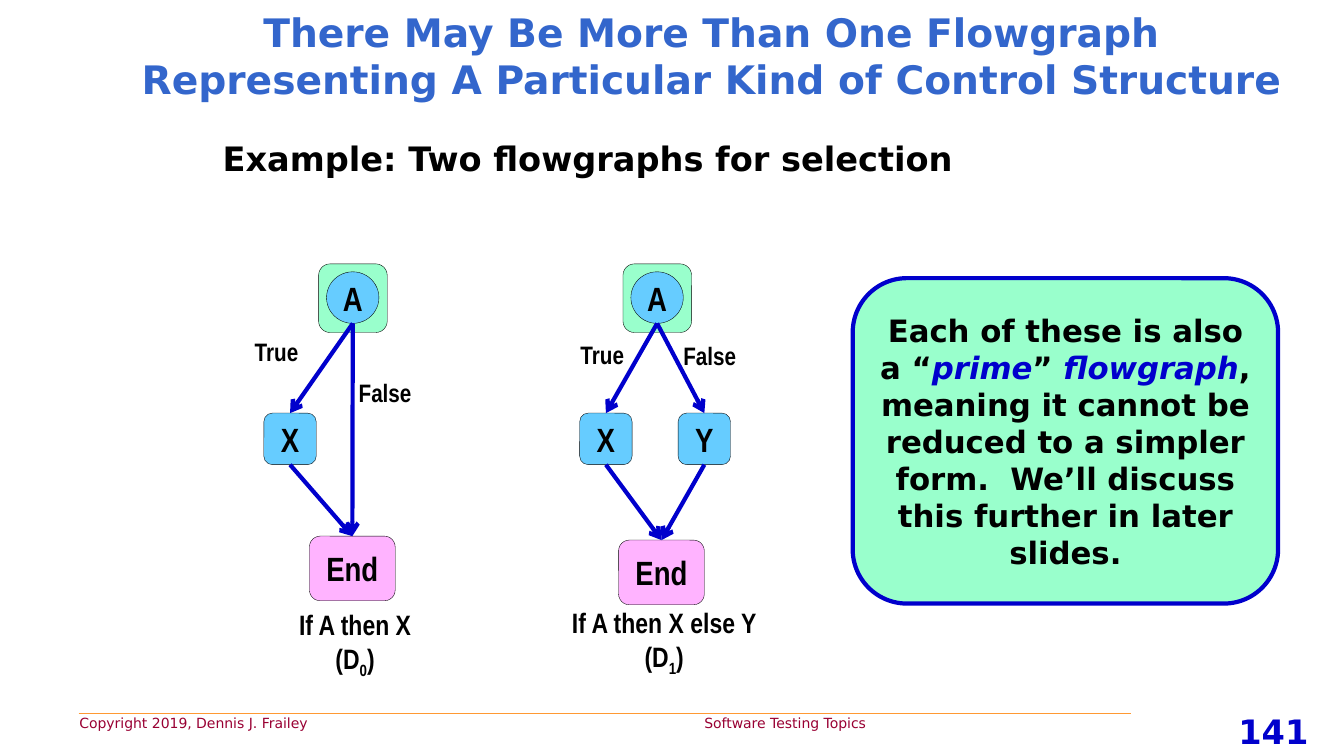
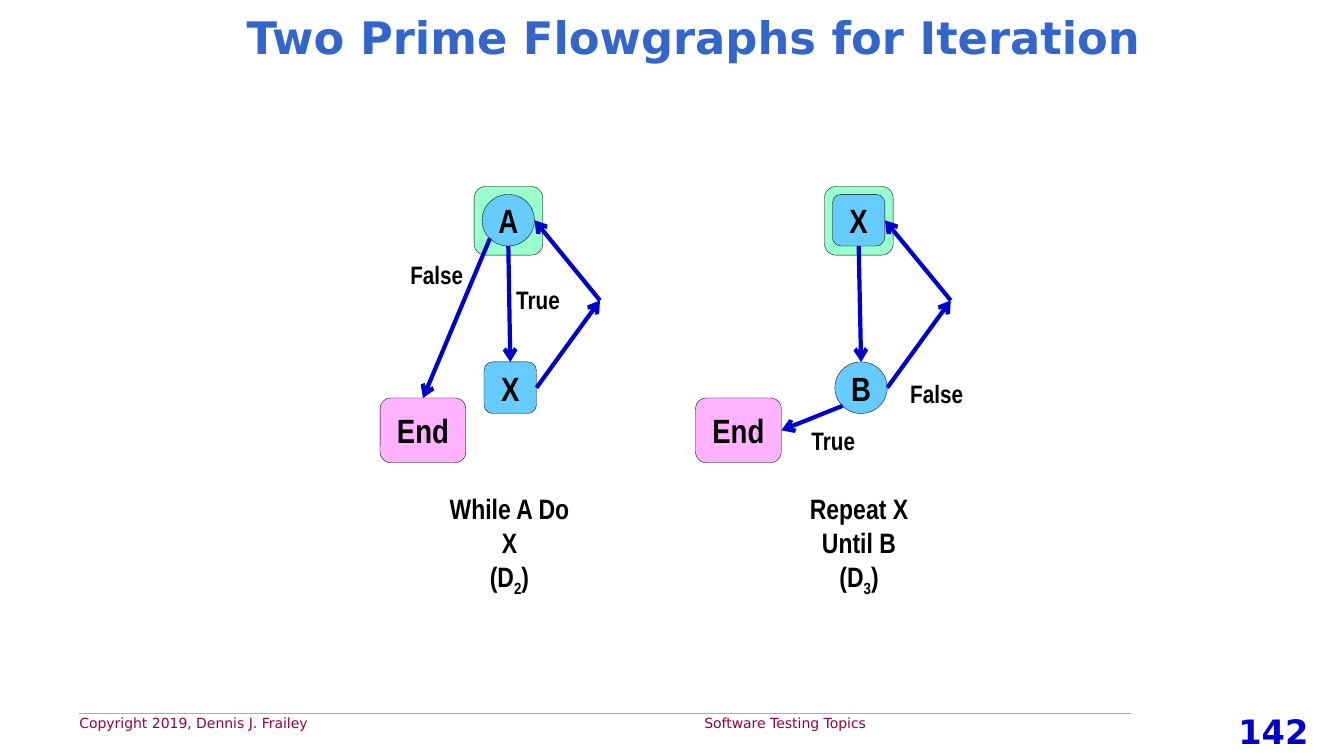
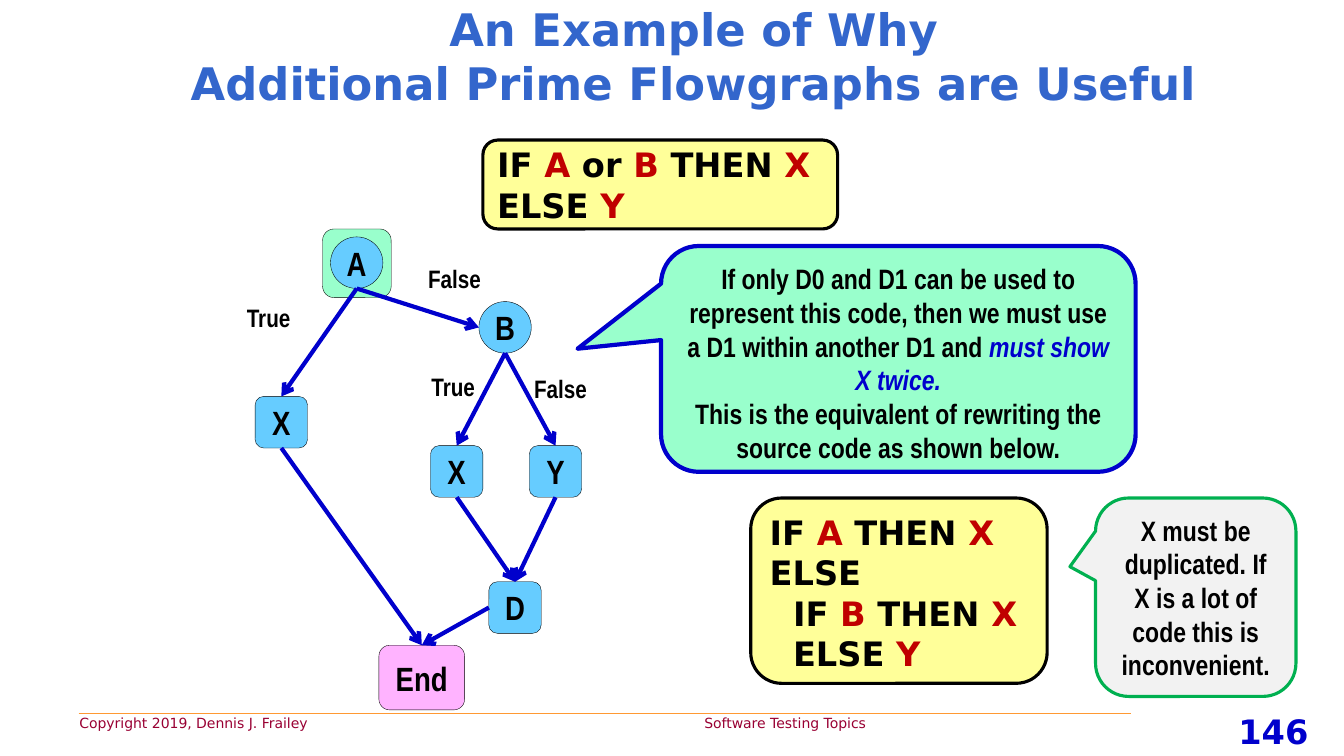
from lxml.etree import SubElement
from pptx import Presentation
from pptx.dml.color import RGBColor
from pptx.enum.shapes import MSO_CONNECTOR, MSO_SHAPE
from pptx.enum.text import MSO_ANCHOR, PP_ALIGN
from pptx.oxml.ns import qn
from pptx.util import Cm, Pt

HUES = {
    "title": "3366CC", "ink": "000000", "blue": "0000CC", "red": "C00000",
    "wine": "990033", "rule": "FF9933", "mint": "99FFCC", "sky": "66CCFF",
    "pink": "FFB3FF", "cream": "FFFF99", "gray": "F2F2F2", "green": "00B050",
}
WIDE = "DejaVu Sans"
SLIM = "Arial Narrow"
MID = MSO_ANCHOR.MIDDLE
TOP = MSO_ANCHOR.TOP
ROUND = MSO_SHAPE.ROUNDED_RECTANGLE
BUBBLE = MSO_SHAPE.ROUNDED_RECTANGULAR_CALLOUT
NODE = (1.32, 1.3)
KINDS = {
    "box": (ROUND, "sky", NODE),
    "test": (MSO_SHAPE.OVAL, "sky", NODE),
    "end": (ROUND, "pink", (2.16, 1.63)),
    "bend": (None, None, (0, 0)),
}
SIDES = {"t": (0.5, 0), "b": (0.5, 1), "l": (0, 0.5), "r": (1, 0.5), "bl": (0.15, 0.85)}


def hue(name):
    return RGBColor.from_string(HUES[name])


def write(shape, paras, size, face, ink="ink", center=True, bold=True, anchor=TOP, pad=None):
    frame = shape.text_frame
    frame.word_wrap = True
    frame.vertical_anchor = anchor
    if pad is not None:
        frame.margin_left = frame.margin_right = Cm(pad)
        frame.margin_top = frame.margin_bottom = Cm(pad)
    for i, runs in enumerate(paras):
        para = frame.paragraphs[0] if i == 0 else frame.add_paragraph()
        para.alignment = PP_ALIGN.CENTER if center else PP_ALIGN.LEFT
        for item in [runs] if isinstance(runs, str) else runs:
            text, look = (item, "") if isinstance(item, str) else item
            run = para.add_run()
            run.text = text
            font = run.font
            font.name, font.size, font.bold = face, Pt(size), bold
            font.color.rgb = hue(look if look in HUES else ink)
            if look == "blue":
                font.italic = True
            if look == "sub":
                run._r.get_or_add_rPr().set("baseline", "-25000")
    return frame


def label(area, box, paras, size, face, **style):
    return write(area.add_textbox(*map(Cm, box)), paras, size, face, **style)


def panel(area, kind, box, fill, edge="ink", width=0.25):
    shape = area.add_shape(kind, *map(Cm, box))
    shape.shadow.inherit = False
    shape.fill.solid()
    shape.fill.fore_color.rgb = hue(fill)
    shape.line.color.rgb = hue(edge)
    shape.line.width = Pt(width)
    return shape


def link(area, start, stop, color="blue", width=3, arrow=True):
    line = area.add_connector(MSO_CONNECTOR.STRAIGHT, *map(Cm, (*start, *stop)))
    line.line.color.rgb = hue(color)
    line.line.width = Pt(width)
    if arrow:
        SubElement(line.line._get_or_add_ln(), qn("a:tailEnd"), type="arrow")
    SubElement(line._element.spPr, qn("a:effectLst"))


def graph(slide, left, top, nodes, edges, tags):
    area = slide.shapes.add_group_shape().shapes
    spots = {}
    for i, (name, kind, x, y) in enumerate(nodes):
        form, fill, size = KINDS[kind]
        box = spots[name] = (left + x, top + y, *size)
        if i == 0:
            panel(area, ROUND, (box[0] - 0.2, box[1] - 0.2, 1.73, 1.73), "mint")
        if form:
            shape = panel(area, form, box, fill)
            write(shape, [name.rstrip("2")], 24, SLIM, anchor=MID, pad=0)

    def port(mark):
        name, side = mark.split(".")
        x, y, w, h = spots[name]
        return x + w * SIDES[side][0], y + h * SIDES[side][1]

    for edge in edges.split():
        start, stop = edge.split(">")
        link(area, port(start), port(stop))
    for text, x, y in tags:
        label(area, (left + x, top + y, 2, 1.02), [text], 18, SLIM, center=False)


def legend(slide, box, text, index):
    label(slide.shapes, box, [text, ["(D", (index, "sub"), ")"]], 20, SLIM)


def code(slide, box, lines, anchor=TOP):
    shape = panel(slide.shapes, ROUND, box, "cream", width=2.25)
    write(shape, lines, 24, WIDE, center=False, anchor=anchor)


def bubble(slide, box, tip, paras, fill, edge, width, anchor=TOP):
    shape = panel(slide.shapes, BUBBLE, box, fill, edge, width)
    shape.adjustments[0], shape.adjustments[1] = tip
    write(shape, paras, 20, SLIM, anchor=anchor)


def base(deck, page, title, box, size):
    slide = deck.slides.add_slide(deck.slide_layouts[6])
    area = slide.shapes
    link(area, (1.98, 17.98), (28.5, 17.98), "rule", 0.75, False)
    foot = area.add_textbox(*map(Cm, (1.75, 17.88, 27.03, 0.69)))
    props = foot.text_frame.paragraphs[0]._p.get_or_add_pPr()
    tabs = SubElement(props, qn("a:tabLst"))
    SubElement(tabs, qn("a:tab"), pos=str(int(Cm(15.75))), algn="l")
    write(foot, ["Copyright 2019, Dennis J. Frailey\tSoftware Testing Topics"],
          10, WIDE, "wine", center=False, bold=False)
    label(area, (30.3, 17.78, 3.58, 1.27), [page], 24, WIDE, ink="blue")
    label(area, box, title, size, WIDE, ink="title", anchor=MID)
    return slide


def choice(deck):
    slide = base(deck, "141", [
        "There May Be More Than One Flowgraph Representing A Particular Kind of Control Structure",
    ], (3.23, 0.3, 29.39, 2.21), 28)
    label(slide.shapes, (5.36, 3.35, 22.73, 2.11),
          ["Example: Two flowgraphs for selection"], 24, WIDE, center=False)
    graph(slide, 6.17, 6.65, [
        ("A", "test", 2.06, 0.2), ("X", "box", 0.48, 3.76), ("End", "end", 1.63, 6.86),
    ], "X.b>End.t A.b>X.t A.b>End.t", [("True", 0, 1.7), ("False", 2.62, 2.74)])
    legend(slide, (6.93, 15.19, 4.04, 1.96), "If A then X", "0")
    graph(slide, 14.02, 6.65, [
        ("A", "test", 1.88, 0.2), ("X", "box", 0.59, 3.76),
        ("Y", "box", 3.07, 3.76), ("End", "end", 1.57, 6.96),
    ], "A.b>X.t A.b>Y.t X.b>End.t Y.b>End.t", [("True", 0.36, 1.78), ("False", 2.95, 1.8)])
    legend(slide, (14.02, 15.14, 5.44, 1.96), "If A then X else Y", "1")
    note = panel(slide.shapes, ROUND, (21.49, 7.01, 10.72, 8.2), "mint", "blue", 3)
    write(note, [[
        "Each of these is also a “", ("prime", "blue"), "” ", ("flowgraph", "blue"),
        ", meaning it cannot be reduced to a simpler form.  We’ll discuss this further in later slides.",
    ]], 22, WIDE, anchor=MID)


def loops(deck):
    slide = base(deck, "142", ["Two Prime Flowgraphs for Iteration"], (2.41, 0, 30.15, 1.85), 32)
    graph(slide, 9.58, 4.7, [
        ("A", "test", 2.57, 0.2), ("X", "box", 2.62, 4.42),
        ("End", "end", 0, 5.33), ("Back", "bend", 5.54, 2.87),
    ], "Back.t>A.r A.bl>End.t A.b>X.t X.r>Back.t", [("True", 3.18, 2.34), ("False", 0.51, 1.7)])
    legend(slide, (10.82, 12.27, 4.04, 2.82), "While A Do X", "2")
    graph(slide, 17.53, 4.7, [
        ("X", "box", 3.45, 0.2), ("B", "test", 3.51, 4.42),
        ("End", "end", 0, 5.33), ("Back", "bend", 6.43, 2.87),
    ], "Back.t>X.r B.bl>End.r X.b>B.t B.r>Back.t", [("True", 2.67, 5.89), ("False", 5.16, 4.7)])
    legend(slide, (19.63, 12.27, 4.04, 2.82), "Repeat X Until B", "3")


def nested(deck):
    slide = base(deck, "146", ["An Example of Why", "Additional Prime Flowgraphs are Useful"],
                 (2.41, 0, 30.15, 2.79), 32)
    graph(slide, 5.97, 5.77, [
        ("A", "test", 2.36, 0.2), ("B", "test", 6.1, 1.83), ("X", "box", 0.46, 4.22),
        ("X2", "box", 4.88, 5.46), ("Y", "box", 7.37, 5.46),
        ("D", "box", 6.35, 8.89), ("End", "end", 3.58, 10.49),
    ], "A.b>X.t A.b>B.l X.b>End.t B.b>X2.t B.b>Y.t X2.b>D.t Y.b>D.t D.l>End.t", [
        ("True", 0, 1.73), ("False", 4.57, 0.74), ("True", 4.65, 3.45), ("False", 7.24, 3.51),
    ])
    a, b, x, y = ((name, "red") for name in "ABXY")
    bubble(slide, (16.66, 6.2, 11.96, 5.69), (-0.676, -0.045), [
        ["If only D0 and D1 can be used to represent this code, then we must use "
         "a D1 within another D1 and ", ("must show X twice.", "blue")],
        "This is the equivalent of rewriting the source code as shown below.",
    ], "mint", "blue", 3)
    code(slide, (18.92, 12.55, 7.47, 4.67), [
        ["IF ", a, " THEN ", x], "ELSE", ["  IF ", b, " THEN ", x], ["  ELSE ", y],
    ])
    code(slide, (12.17, 3.53, 8.94, 2.24), [
        ["IF ", a, " or ", b, " THEN ", x], ["ELSE ", y],
    ], MID)
    bubble(slide, (27.61, 12.55, 5.05, 5), (-0.628, -0.154), [
        "X must be duplicated. If X is a lot of code this is inconvenient.",
    ], "gray", "green", 2.25, MID)


def main():
    deck = Presentation()
    deck.slide_width, deck.slide_height = Cm(33.87), Cm(19.05)
    for build in (choice, loops, nested):
        build(deck)
    deck.save("out.pptx")


if __name__ == "__main__":
    main()
